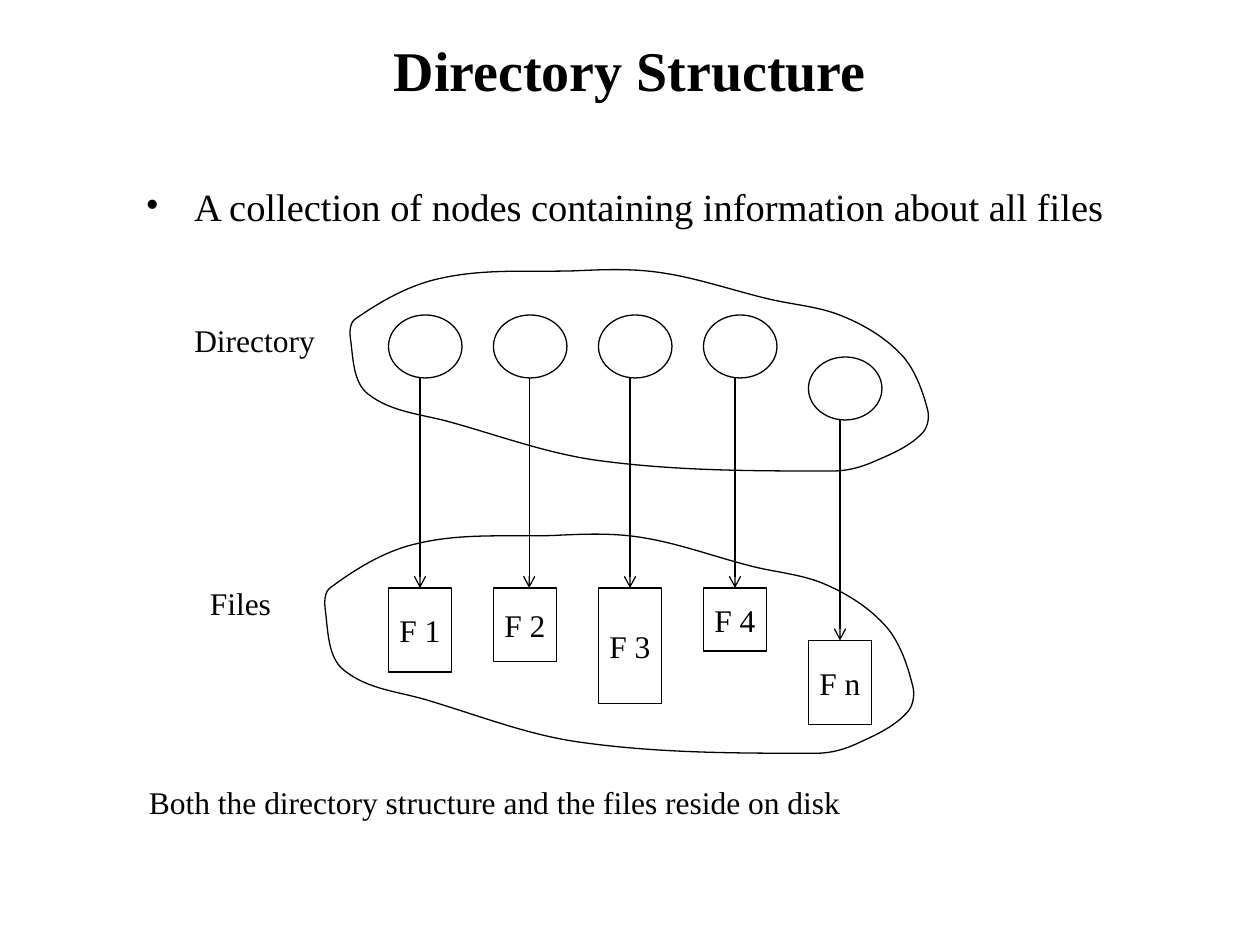
from dataclasses import dataclass, field
from math import dist

from lxml.etree import SubElement
from pptx import Presentation
from pptx.dml.color import RGBColor
from pptx.enum.shapes import MSO_CONNECTOR, MSO_SHAPE
from pptx.enum.text import MSO_ANCHOR as ANCHOR, MSO_AUTO_SIZE as FIT, PP_ALIGN as ALIGN
from pptx.oxml.ns import qn
from pptx.util import Pt

PX = 7620
COLORS = {"ink": "000000", "paper": "FFFFFF"}
FONT = "Times New Roman"
CENTERED = {"vertical_anchor": ANCHOR.MIDDLE, "word_wrap": False}
LABEL = {**CENTERED, "auto_size": FIT.SHAPE_TO_FIT_TEXT}
INSETS = {"margin_left": 12 * PX, "margin_right": 12 * PX,
          "margin_top": 6 * PX, "margin_bottom": 6 * PX}
INDENT = 46

Point = tuple[float, float]


@dataclass(frozen=True)
class Box:
    left: int
    top: int
    width: int
    height: int

    def emu(self) -> list[int]:
        return [side * PX for side in (self.left, self.top, self.width, self.height)]


@dataclass(frozen=True)
class Entry:
    name: str
    node_top: int
    file_top: int
    file_height: int
    arrow_shift: int = 0


@dataclass(frozen=True)
class Caption:
    text: str
    box: Box
    size: int = 18
    align: ALIGN = ALIGN.LEFT
    bold: bool = False
    bullet: bool = False
    frame: dict = field(default_factory=lambda: {"word_wrap": True})


NODE_TOP, FILE_TOP = 300, 560
LAST_NODE_TOP, LAST_FILE_TOP = NODE_TOP + 40, FILE_TOP + 50
FIRST_LEFT, PITCH = 370, 100
NODE_WIDTH, NODE_HEIGHT, FILE_WIDTH = 70, 60, 60
ENTRIES = [
    Entry("F 1", NODE_TOP, FILE_TOP, 80),
    Entry("F 2", NODE_TOP, FILE_TOP, 70, arrow_shift=4),
    Entry("F 3", NODE_TOP, FILE_TOP, 110),
    Entry("F 4", NODE_TOP, FILE_TOP, 60),
    Entry("F n", LAST_NODE_TOP, LAST_FILE_TOP, 80),
]

BLOB_WIDTH, BLOB_HEIGHT = 457, 161
BLOB_TOP = [(71, 6), (177, 0), (243, 1), (330, 22), (390, 36)]
BLOB_RIGHT = [(437, 67), (457, 109), (454, 128), (416, 151)]
BLOB_BOTTOM = [(382, 159), (199, 151), (82, 121)]
BLOB_LEFT = [(14, 98), (0, 55), (4, 38)]
BLOB = BLOB_TOP + BLOB_RIGHT + BLOB_BOTTOM + BLOB_LEFT
DIRECTORY_BLOB = Box(334, 258, 549, 193)
FILES_BLOB = Box(310, 510, 559, 210)

HEADINGS = [
    Caption("Directory Structure", Box(60, 28, 1080, 76), 32, ALIGN.CENTER, bold=True,
            frame={"vertical_anchor": ANCHOR.MIDDLE, "word_wrap": True}),
    Caption("A collection of nodes containing information about all files",
            Box(127, 180, 967, 47), 22, bullet=True),
]
LABELS = [
    Caption("Directory", Box(173, 300, 139, 48), align=ALIGN.CENTER, frame=LABEL),
    Caption("Files", Box(188, 550, 82, 48), align=ALIGN.CENTER, frame=LABEL),
    Caption("Both the directory structure and the files reside on disk",
            Box(130, 740, 997, 50)),
]


def color(name: str) -> RGBColor:
    return RGBColor.from_string(COLORS[name])


def apply(target, values: dict) -> None:
    for attribute, value in values.items():
        setattr(target, attribute, value)


def stroke(line) -> None:
    line.color.rgb = color("ink")
    line.width = Pt(0.75)


def write(shape, caption: Caption) -> None:
    frame = shape.text_frame
    apply(frame, {**INSETS, **caption.frame})
    paragraph = frame.paragraphs[0]
    paragraph.text = caption.text
    paragraph.alignment = caption.align
    if caption.bullet:
        paragraph.line_spacing = 0.7
        properties = paragraph._p.get_or_add_pPr()
        apply_indent = {"marL": INDENT * PX, "indent": -INDENT * PX}
        for name, value in apply_indent.items():
            properties.set(name, str(value))
        SubElement(properties, qn("a:buFont")).set("typeface", FONT)
        SubElement(properties, qn("a:buChar")).set("char", "•")
    font = paragraph.runs[0].font
    apply(font, {"name": FONT, "size": Pt(caption.size), "bold": caption.bold})
    font.color.rgb = color("ink")


def add_caption(shapes, caption: Caption) -> None:
    write(shapes.add_textbox(*caption.box.emu()), caption)


def add_outlined(shapes, kind: MSO_SHAPE, box: Box):
    shape = shapes.add_shape(kind, *box.emu())
    shape.shadow.inherit = False
    shape.fill.solid()
    shape.fill.fore_color.rgb = color("paper")
    stroke(shape.line)
    return shape


def add_file(shapes, left: int, entry: Entry):
    box = Box(left, entry.file_top, FILE_WIDTH, entry.file_height)
    file = add_outlined(shapes, MSO_SHAPE.RECTANGLE, box)
    write(file, Caption(entry.name, box, align=ALIGN.CENTER, frame=CENTERED))
    return file


def add_arrow(shapes, left: int, entry: Entry, file) -> None:
    x = left + FILE_WIDTH // 2 + entry.arrow_shift
    arrow = shapes.add_connector(MSO_CONNECTOR.STRAIGHT, x * PX,
                                 (entry.node_top + NODE_HEIGHT) * PX,
                                 x * PX, entry.file_top * PX)
    if not entry.arrow_shift:
        arrow.end_connect(file, 0)
    stroke(arrow.line)
    SubElement(arrow.line._get_or_add_ln(), qn("a:tailEnd")).set("type", "arrow")
    SubElement(arrow._element.spPr, qn("a:effectLst"))


def handle(before: Point, at: Point, after: Point, reach: float) -> Point:
    ratio = reach / 3 / dist(before, after)
    return tuple(p + ratio * (b - a) for a, p, b in zip(before, at, after))


def smooth_curve(anchors: list[Point]) -> list[Point]:
    points = []
    count = len(anchors)
    for index in range(count):
        before, start, end, after = (anchors[(index + step) % count]
                                     for step in (-1, 0, 1, 2))
        reach = dist(start, end)
        points += [handle(before, start, end, reach),
                   handle(start, end, after, -reach), end]
    return points


def bend_segments(shape) -> None:
    segments = list(shape._element.iter(qn("a:lnTo")))
    for first, second, third in zip(*[iter(segments)] * 3):
        bezier = first.makeelement(qn("a:cubicBezTo"))
        first.addprevious(bezier)
        for segment in (first, second, third):
            bezier.append(segment[0])
            segment.getparent().remove(segment)


def add_blob(shapes, box: Box) -> None:
    scale = (box.width * PX / BLOB_WIDTH, box.height * PX / BLOB_HEIGHT)
    builder = shapes.build_freeform(*BLOB[0], scale=scale)
    builder.add_line_segments(smooth_curve(BLOB), close=True)
    blob = builder.convert_to_shape(box.left * PX, box.top * PX)
    bend_segments(blob)
    blob.shadow.inherit = False
    blob.fill.background()
    stroke(blob.line)


def main() -> None:
    deck = Presentation()
    deck.slide_width, deck.slide_height = 1200 * PX, 900 * PX
    shapes = deck.slides.add_slide(deck.slide_layouts[6]).shapes
    columns = [(FIRST_LEFT + PITCH * index, entry) for index, entry in enumerate(ENTRIES)]

    for heading in HEADINGS:
        add_caption(shapes, heading)
    for left, entry in columns:
        add_outlined(shapes, MSO_SHAPE.OVAL,
                     Box(left, entry.node_top, NODE_WIDTH, NODE_HEIGHT))
    files = [add_file(shapes, left, entry) for left, entry in columns]
    for (left, entry), file in zip(columns, files):
        add_arrow(shapes, left, entry, file)
    for box in (DIRECTORY_BLOB, FILES_BLOB):
        add_blob(shapes, box)
    for label in LABELS:
        add_caption(shapes, label)
    deck.save("out.pptx")


if __name__ == "__main__":
    main()
